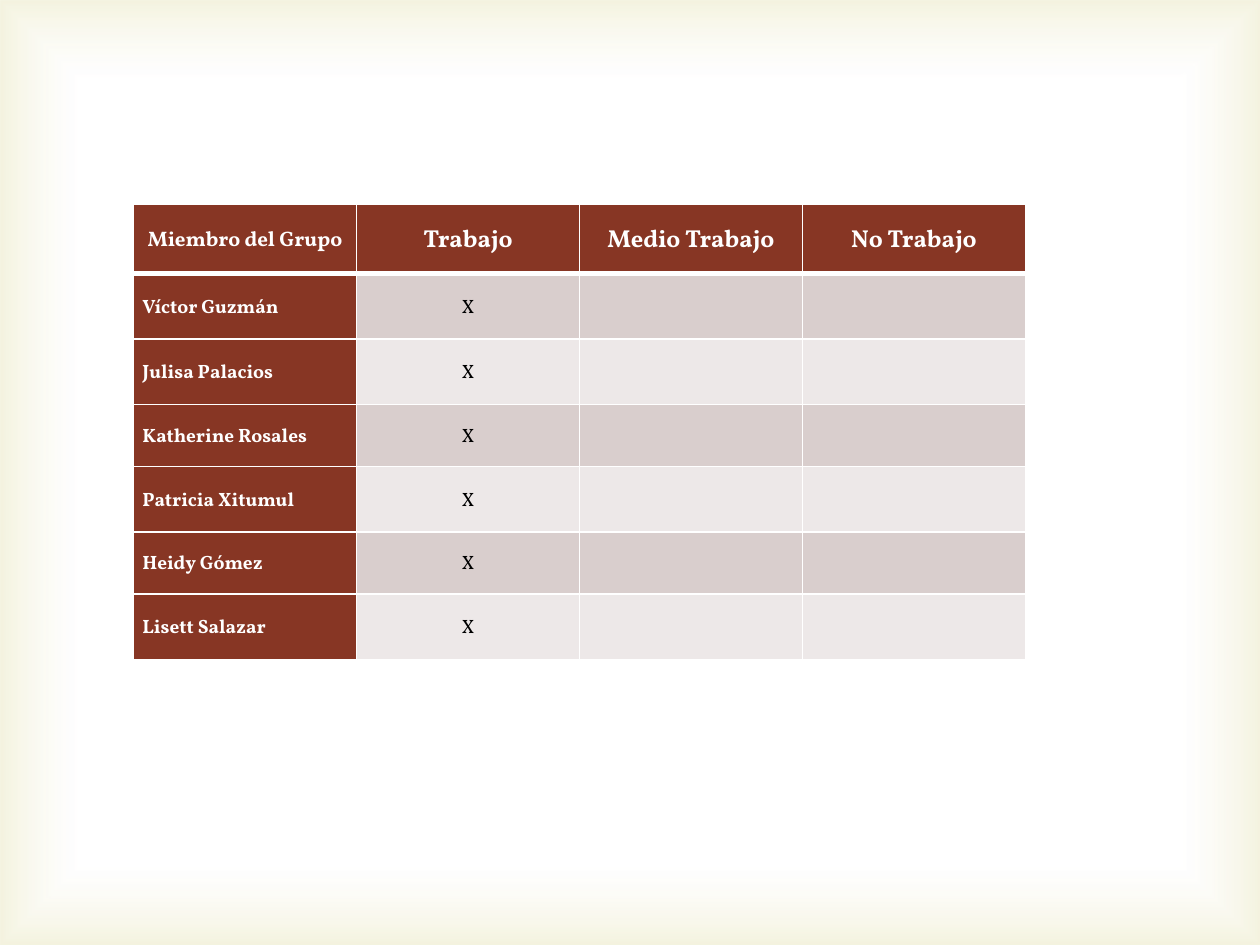
from dataclasses import dataclass

from pptx import Presentation as Deck
from pptx.dml.color import RGBColor as Rgb
from pptx.enum.shapes import MSO_SHAPE as Kind
from pptx.enum.text import MSO_ANCHOR as Anchor, PP_ALIGN as Align
from pptx.oxml import parse_xml as to_xml
from pptx.oxml.ns import nsdecls as space
from pptx.util import Inches, Pt


@dataclass(frozen=True)
class Theme:
    font: str = "Vollkorn"
    brick: str = "873624"
    white: str = "FFFFFF"
    black: str = "000000"
    gold: str = "D1CA75"
    bands: tuple = ("D9CECD", "EDE8E8")
    lead: int = 12
    head: int = 14
    body: int = 11
    thin: int = 1
    thick: int = 3


THEME = Theme()
WIDE, HIGH = Inches(10), Inches(7.5)
HEADS = ("Miembro del Grupo", "Trabajo", "Medio Trabajo", "No Trabajo")
NAMES = ("Víctor Guzmán", "Julisa Palacios", "Katherine Rosales",
         "Patricia Xitumul", "Heidy Gómez", "Lisett Salazar")
ROWS = (0.55, 0.52, 0.52, 0.49, 0.52, 0.49, 0.52)


def apply(item, form):
    for key, value in form.items():
        setattr(item, key, value)


def share(left, top, wide, high):
    return [int(part * size) for part, size in
            zip((left, top, wide, high), (WIDE, HIGH, WIDE, HIGH))]


def add_glow(slide, box):
    glow = slide.shapes.add_shape(Kind.RECTANGLE, *box)
    glow.shadow.inherit = False
    glow.line.fill.background()
    glow.fill.background()
    stops = "".join(
        f'<a:gs pos="{pos}000"><a:srgbClr val="{tint}">'
        f'<a:alpha val="{alpha}000"/></a:srgbClr></a:gs>'
        for pos, tint, alpha in ((83, THEME.white, 11), (100, THEME.gold, 23)))
    fade = to_xml(
        f'<a:gradFill {space("a")} rotWithShape="1"><a:gsLst>{stops}</a:gsLst>'
        '<a:path path="rect"><a:fillToRect l="50000" t="50000" r="50000" '
        'b="50000"/></a:path></a:gradFill>')
    props = glow.element.spPr
    props.replace(props.find("{*}noFill"), fade)


def add_edges(cell, top, base):
    props = cell._tc.get_or_add_tcPr()
    sides = {"L": THEME.thin, "R": THEME.thin, "T": top, "B": base}
    for spot, (side, size) in enumerate(sides.items()):
        props.insert(spot, to_xml(
            f'<a:ln{side} {space("a")} w="{Pt(size)}"><a:solidFill>'
            f'<a:srgbClr val="{THEME.white}"/></a:solidFill></a:ln{side}>'))


def set_cell(cell, text, fill, size, tint, bold, align):
    apply(cell, {"vertical_anchor": Anchor.MIDDLE,
                 "margin_left": Inches(0.07), "margin_right": Inches(0.07),
                 "margin_top": 0, "margin_bottom": 0})
    cell.fill.solid()
    cell.fill.fore_color.rgb = Rgb.from_string(fill)
    if text:
        para = cell.text_frame.paragraphs[0]
        apply(para, {"alignment": align, "line_spacing": 1.15})
        run = para.add_run()
        run.text = text
        apply(run.font, {"name": THEME.font, "size": Pt(size), "bold": bold})
        run.font.color.rgb = Rgb.from_string(tint)


def add_grid(slide, box):
    data = [HEADS] + [(name, "X", "", "") for name in NAMES]
    grid = slide.shapes.add_table(len(data), len(HEADS), *box).table
    apply(grid, {"first_row": False, "horz_banding": False})
    for col in grid.columns:
        col.width = box[2] // len(HEADS)
    for row, part in zip(grid.rows, ROWS):
        row.height = int(box[3] * part / sum(ROWS))
    for r, line in enumerate(data):
        for c, text in enumerate(line):
            dark = r == 0 or c == 0
            size = THEME.body if r else THEME.head if c else THEME.lead
            cell = grid.cell(r, c)
            set_cell(cell, text,
                     THEME.brick if dark else THEME.bands[(r - 1) % 2],
                     size, THEME.white if dark else THEME.black, dark,
                     Align.LEFT if r and c == 0 else Align.CENTER)
            add_edges(cell, THEME.thick if r == 1 else THEME.thin,
                      THEME.thick if r == 0 else THEME.thin)


def main():
    deck = Deck()
    apply(deck, {"slide_width": WIDE, "slide_height": HIGH})
    slide = deck.slides.add_slide(deck.slide_layouts[6])
    add_glow(slide, share(0, 0, 1, 1))
    add_grid(slide, share(0.106, 0.216, 0.708, 0.482))
    deck.save("out.pptx")


if __name__ == "__main__":
    main()
